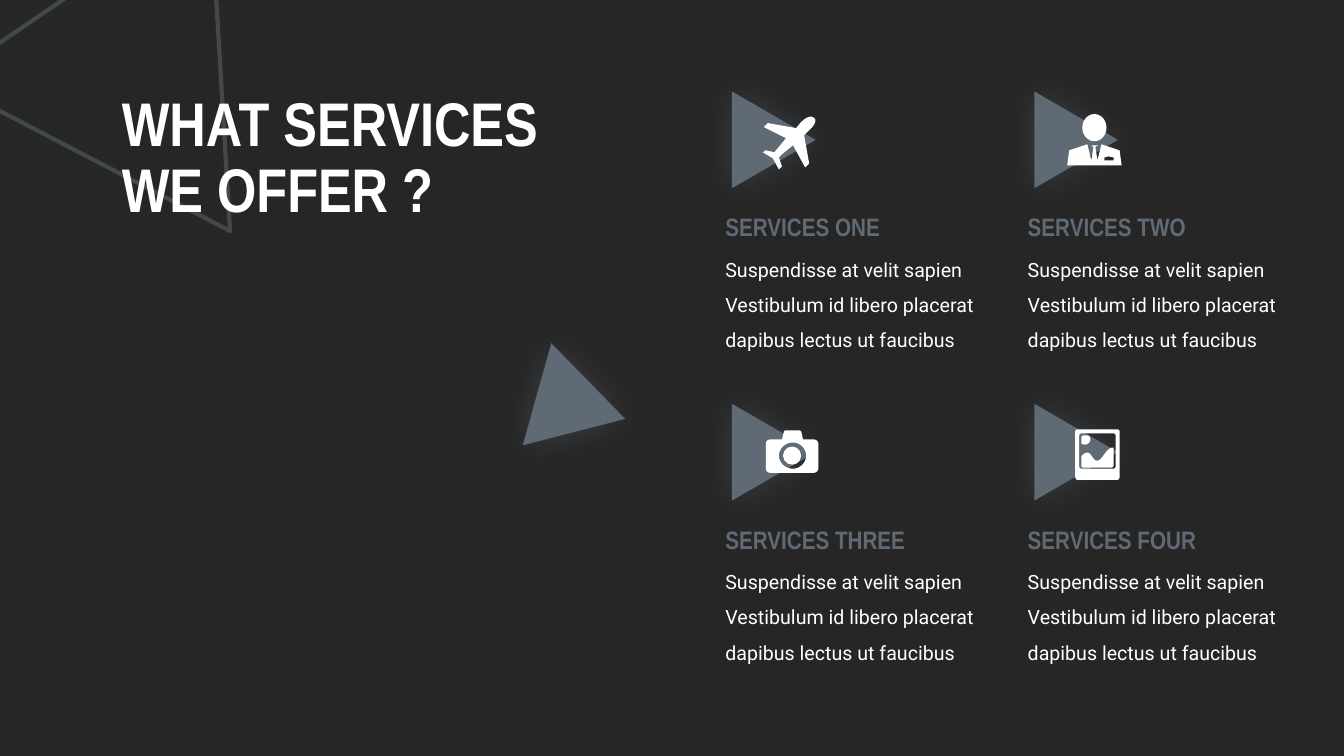
from dataclasses import dataclass

from lxml import etree
from pptx import Presentation, util as u
from pptx.dml.color import RGBColor
from pptx.enum import shapes, text
from pptx.oxml.ns import qn

DARK, SLATE, WHITE = "262626", "606A74", "FFFFFF"
HEADING_FONT, BODY_FONT = "Arial Narrow", "Roboto"
CARD_LEFT, CARD_TOP = 18.03, 2.29
CARD_DX, CARD_DY = 7.62, 7.87
ICON_UNIT = u.Cm(0.0254)
CURVE_STEPS = 8
BLURB = "Suspendisse at velit sapien Vestibulum id libero placerat dapibus lectus ut faucibus"

# A pair is a straight segment; six numbers are a Bézier curve (two controls, end).
Contour = list[tuple[int, ...]]


@dataclass
class Icon:
    """Outlines (each a list of contours) and ellipses, measured from the card corner."""
    outlines: list[list[Contour]]
    ellipses: list[tuple[int, int, int, int]]


@dataclass
class Service:
    title: str
    icon: Icon


PLANE = Icon([[[
    (98, 27), (95, 24, 90, 26, 85, 31), (80, 37), (52, 32), (48, 36), (70, 47),
    (61, 58), (60, 59, 59, 60, 59, 61), (50, 59), (47, 61), (57, 67), (63, 78),
    (66, 75), (63, 66), (64, 65, 65, 64, 66, 63), (77, 54), (89, 76), (93, 72),
    (88, 44), (93, 39), (98, 35, 101, 29, 98, 27)]]], [])

PERSON = Icon([[
    [(101, 59), (83, 53), (79, 69), (77, 56), (78, 55), (80, 54), (73, 54), (74, 55),
     (75, 56), (73, 69), (69, 53), (51, 59), (49, 74), (103, 74)],
    [(95, 69), (86, 69), (86, 66), (90, 65), (95, 66)]]],
    [(64, 23, 24, 27)])

CAMERA = Icon([[
    [(98, 36), (87, 36), (85, 28), (84, 27), (69, 27), (68, 28), (66, 36), (54, 36),
     (52, 36, 50, 38, 50, 40), (50, 65), (50, 67, 52, 69, 54, 69), (98, 69),
     (100, 69, 102, 67, 102, 65), (102, 40), (102, 38, 100, 36, 98, 36)],
    [(77, 65), (69, 65, 63, 59, 63, 52), (63, 45, 69, 39, 77, 39),
     (84, 39, 90, 45, 90, 52), (90, 59, 84, 65, 77, 65)]]],
    [(67, 43, 18, 18)])

PHOTO = Icon([
    [[(95, 44), (88, 43, 84, 57, 79, 57), (75, 58, 73, 49, 69, 49),
      (67, 49, 64, 51, 63, 53), (63, 62), (63, 63, 64, 64, 65, 64), (93, 64),
      (94, 64, 95, 63, 95, 62)]],
    [[(72, 36), (72, 34, 71, 32, 69, 32), (65, 32), (64, 32, 63, 33, 63, 34), (63, 40),
      (64, 41, 65, 41, 67, 41), (69, 41, 72, 39, 72, 36)]],
    [[(99, 26), (59, 26), (58, 26, 57, 27, 57, 28), (57, 73), (57, 75, 58, 76, 59, 76),
      (99, 76), (100, 76, 101, 75, 101, 73), (101, 28), (101, 27, 100, 26, 99, 26)],
     [(97, 44), (97, 63), (97, 64, 96, 65, 95, 65), (63, 65), (62, 65, 61, 64, 61, 63),
      (61, 32), (61, 31, 62, 30, 63, 30), (95, 30), (96, 30, 97, 31, 97, 32)]]], [])

SERVICES = [
    Service("SERVICES ONE", PLANE),
    Service("SERVICES TWO", PERSON),
    Service("SERVICES THREE", CAMERA),
    Service("SERVICES FOUR", PHOTO),
]


def rgb(color: str) -> RGBColor:
    return RGBColor.from_string(color)


def paint(sp, color: str) -> None:
    sp.shadow.inherit = False
    sp.fill.solid()
    sp.fill.fore_color.rgb = rgb(color)
    sp.line.fill.background()


def add_alpha(parent, percent: int) -> None:
    """Make the colour inside the element partly transparent."""
    clr = parent.find(".//" + qn("a:srgbClr"))
    etree.SubElement(clr, qn("a:alpha"), val=str(percent * 1000))


def add_triangle(s, x: float, y: float, w: float, h: float, rotation: float,
                 outlined: bool = False) -> None:
    sp = s.shapes.add_shape(shapes.MSO_SHAPE.ISOSCELES_TRIANGLE,
                            u.Cm(x), u.Cm(y), u.Cm(w), u.Cm(h))
    sp.rotation = rotation
    paint(sp, SLATE)
    if outlined:
        sp.fill.background()
        sp.line.color.rgb = rgb(SLATE)
        sp.line.width = u.Pt(3)
        add_alpha(sp.line._get_or_add_ln(), 50)
    effects = sp._element.spPr.find(qn("a:effectLst"))
    glow = etree.SubElement(effects, qn("a:outerShdw"), blurRad=str(u.Pt(25)),
                            dist="0", dir="0", algn="ctr", rotWithShape="0")
    etree.SubElement(glow, qn("a:srgbClr"), val=SLATE)
    add_alpha(glow, 35)


def add_text(s, content: str, x: float, y: float, w: float, h: float, *, size: float,
             font: str, color: str = WHITE, bold: bool = False, spacing: float = 1.0,
             anchor=text.MSO_ANCHOR.TOP, grow: bool = True) -> None:
    tf = s.shapes.add_textbox(u.Cm(x), u.Cm(y), u.Cm(w), u.Cm(h)).text_frame
    tf.word_wrap = True
    tf.vertical_anchor = anchor
    tf.auto_size = (text.MSO_AUTO_SIZE.SHAPE_TO_FIT_TEXT if grow
                    else text.MSO_AUTO_SIZE.NONE)
    p = tf.paragraphs[0]
    p.line_spacing = spacing
    for i, line in enumerate(content.split("\n")):
        if i:
            p.add_line_break()
        r = p.add_run()
        r.text = line
        r.font.name, r.font.size, r.font.bold = font, u.Pt(size), bold
        r.font.color.rgb = rgb(color)


def flatten(contour: Contour) -> list[tuple[float, float]]:
    """Turn the curves of a contour into short straight segments."""
    points = []
    for seg in contour:
        if len(seg) == 2:
            points.append(seg)
            continue
        x0, y0 = points[-1]
        x1, y1, x2, y2, x3, y3 = seg
        for step in range(1, CURVE_STEPS + 1):
            t = step / CURVE_STEPS
            a, b, c, d = (1 - t) ** 3, 3 * t * (1 - t) ** 2, 3 * t * t * (1 - t), t ** 3
            points.append((a * x0 + b * x1 + c * x2 + d * x3,
                           a * y0 + b * y1 + c * y2 + d * y3))
    return [(px * ICON_UNIT, py * ICON_UNIT) for px, py in points]


def add_icon(s, icon: Icon, x: float, y: float) -> None:
    left, top = u.Cm(x), u.Cm(y)
    for outline in icon.outlines:
        first, *holes = [flatten(contour) for contour in outline]
        builder = s.shapes.build_freeform(*first[0])
        builder.add_line_segments(first[1:], close=True)
        for hole in holes:
            builder.move_to(*hole[0])
            builder.add_line_segments(hole[1:], close=True)
        paint(builder.convert_to_shape(left, top), WHITE)
    for ex, ey, ew, eh in icon.ellipses:
        sp = s.shapes.add_shape(shapes.MSO_SHAPE.OVAL, left + ex * ICON_UNIT,
                                top + ey * ICON_UNIT, ew * ICON_UNIT, eh * ICON_UNIT)
        paint(sp, WHITE)


def add_card(s, service: Service, x: float, y: float) -> None:
    add_triangle(s, x + 0.25, y + 0.18, 2.44, 2.11, 90)
    add_text(s, BLURB, x, y + 3.78, 7.14, 2.84, size=14, font=BODY_FONT, spacing=1.5)
    add_text(s, service.title, x, y + 2.92, 6.22, 1.02, size=18, font=HEADING_FONT,
             color=SLATE, bold=True)
    add_icon(s, service.icon, x, y)


def main() -> None:
    prs = Presentation()
    prs.slide_width, prs.slide_height = u.Cm(33.87), u.Cm(19.05)
    s = prs.slides.add_slide(prs.slide_layouts[6])
    s.background.fill.solid()
    s.background.fill.fore_color.rgb = rgb(DARK)

    add_triangle(s, -2.13, -1.65, 8.38, 6.99, 266.6, outlined=True)
    add_text(s, "WHAT SERVICES\nWE OFFER ?", 2.82, 2.01, 14.27, 4.01, size=44,
             font=HEADING_FONT, bold=True, spacing=0.9,
             anchor=text.MSO_ANCHOR.MIDDLE, grow=False)
    for i, service in enumerate(SERVICES):
        row, col = divmod(i, 2)
        add_card(s, service, CARD_LEFT + col * CARD_DX, CARD_TOP + row * CARD_DY)
    add_triangle(s, 13.31, 9.09, 2.67, 2.31, 105.6)
    prs.save("out.pptx")


if __name__ == "__main__":
    main()
